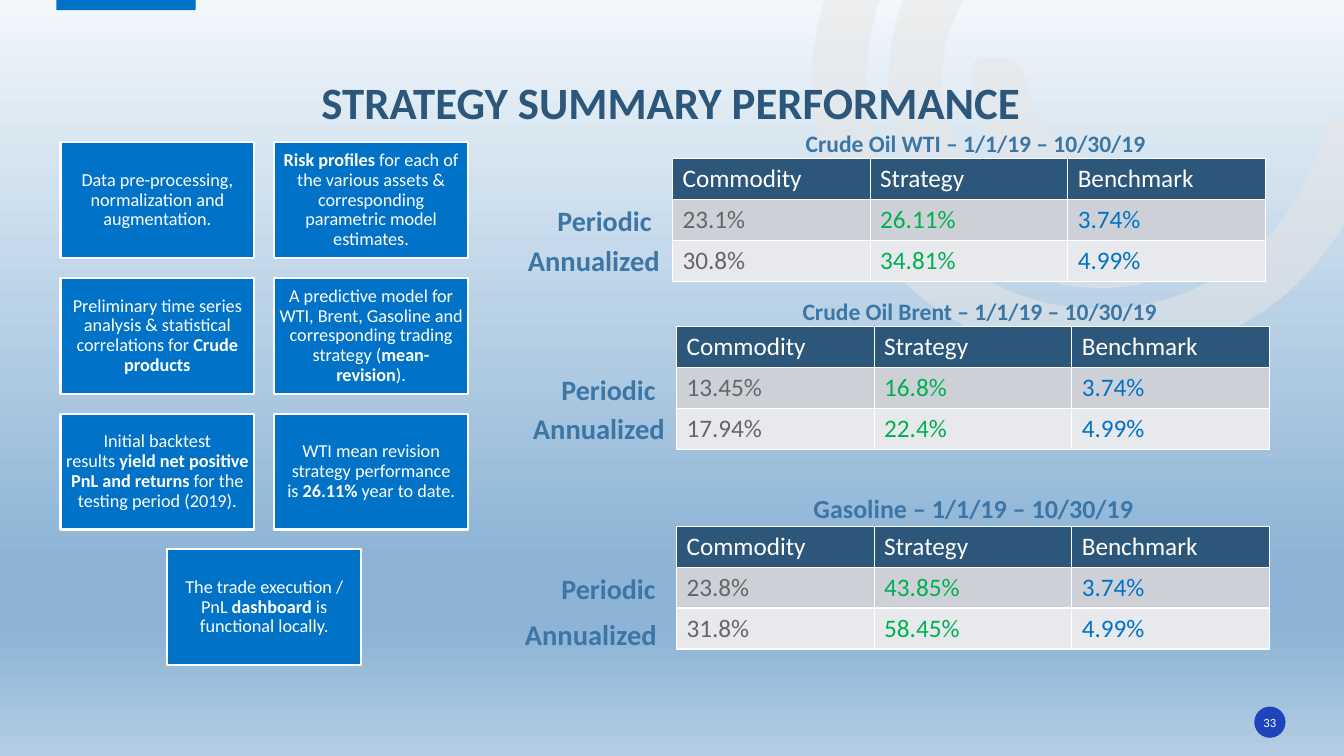
from lxml.etree import SubElement
from pptx import Presentation
from pptx.dml.color import RGBColor
from pptx.enum.shapes import MSO_SHAPE as Shape
from pptx.enum.text import MSO_ANCHOR as Anchor, PP_ALIGN as Align
from pptx.oxml import parse_xml
from pptx.oxml.ns import nsdecls, qn
from pptx.util import Inches, Pt

COLORS = {
    "white": "FFFFFF", "navy": "2C567A", "blue": "0072C7", "steel": "3C76A6",
    "badge": "1E44BC", "gray": "666666", "green": "00B050", "swirl": "E7E6E6",
    "band": "CDD1D7", "pale": "E8E9EC",
}
FONT = "Calibri"
HARD_SPACE = chr(160)
WIDTH, HEIGHT = 13.33, 7.5
TITLE = "STRATEGY SUMMARY PERFORMANCE"
PAGE_NUMBER = "33"
SKY = [(0, "F2F7FA"), (74, "8DB4D6"), (83, "8DB4D6"), (100, "B3CDE4")]

CARDS = [
    ("Data pre-processing, normalization and augmentation.",),
    ("", "Risk profiles", " for each of the various assets & corresponding parametric model estimates."),
    ("Preliminary time series analysis & statistical correlations for ", "Crude products"),
    ("A predictive model for WTI, Brent, Gasoline and corresponding trading strategy (", "mean-revision", ")."),
    ("Initial backtest results ", "yield net positive PnL and returns", " for the testing period (2019)."),
    ("WTI mean revision strategy performance is ", "26.11%", " year to date."),
    ("The trade execution / PnL ", "dashboard", " is functional locally."),
]
CARD_LEFT, CARD_TOP, CARD_W, CARD_H = 0.6, 1.41, 1.92, 1.15
CARD_STEP_X, CARD_STEP_Y = 2.12, 4.04 / 3

HEADER = ("Commodity", "Strategy", "Benchmark")
COLUMN_COLORS = ("gray", "green", "blue")
TABLE_W, TABLE_H = 5.88, 1.22
ASSETS = [
    {"caption": "Crude Oil WTI – 1/1/19 – 10/30/19", "size": 16.8, "at": (6.67, 1.57),
     "caption_shift": (1.08, -0.45), "annual_shift": (-1.54, 0.67),
     "rows": [("23.1%", "26.11%", "3.74%"), ("30.8%", "34.81%", "4.99%")]},
    {"caption": "Crude Oil Brent – 1/1/19 – 10/30/19", "size": 16.8, "at": (6.71, 3.24),
     "caption_shift": (1.08, -0.45), "annual_shift": (-1.53, 0.66),
     "rows": [("13.45%", "16.8%", "3.74%"), ("17.94%", "22.4%", "4.99%")]},
    {"caption": "Gasoline – 1/1/19 – 10/30/19", "size": 18.6, "at": (6.71, 5.22),
     "caption_shift": (1.02, -0.46), "annual_shift": (-1.61, 0.73),
     "rows": [("23.8%", "43.85%", "3.74%"), ("31.8%", "58.45%", "4.99%")]},
]

SWIRLS = [
    [(8.51, 2.29), (7.99, 1.49), (7.87, 0.5), (8.38, -0.5), (8.9, -1.52), (9.76, -2.03), (10.9, -2.07),
     (11.05, -2.07), (11.21, -2.1), (11.31, -1.95), (11.44, -1.75), (11.27, -1.54), (10.98, -1.54),
     (9.67, -1.54), (8.65, -0.59), (8.6, 0.68), (8.56, 1.81), (9.36, 2.81), (10.46, 3.02),
     (11.6, 3.24), (12.7, 2.61), (13.07, 1.52), (13.09, 1.48), (13.11, 1.44), (13.12, 1.4),
     (13.16, 1.19), (13.27, 1.11), (13.49, 1.17), (13.73, 1.24), (13.67, 1.41), (13.61, 1.56),
     (13.34, 2.45), (12.78, 3.07), (11.91, 3.41), (10.7, 3.87), (9.36, 3.45), (8.51, 2.29)],
    [(9.22, 1.99), (8.62, 1.15), (8.69, 0.07), (9.4, -0.68), (9.51, -0.79), (9.62, -0.95), (9.8, -0.78),
     (9.95, -0.64), (9.97, -0.5), (9.79, -0.32), (9.25, 0.26), (9.2, 1.08), (9.65, 1.68),
     (10.08, 2.29), (10.88, 2.49), (11.61, 2.15), (11.82, 2.05), (11.93, 2.12), (12.03, 2.29),
     (12.13, 2.5), (11.97, 2.56), (11.83, 2.63), (10.96, 3.1), (9.83, 2.82), (9.22, 1.99)],
    [(9.87, 1.51), (9.75, 1.3), (9.64, 1.07), (9.64, 0.82), (9.64, 0.73), (9.61, 0.57), (9.76, 0.58),
     (9.92, 0.59), (10.13, 0.53), (10.16, 0.76), (10.21, 1.1), (10.36, 1.32), (10.67, 1.48),
     (10.88, 1.57), (10.76, 1.76), (10.72, 1.89), (10.68, 2.06), (10.55, 1.98), (10.45, 1.94),
     (10.21, 1.87), (10.03, 1.7), (9.87, 1.51)],
]


def rgb(name):
    return RGBColor.from_string(COLORS[name])


def paint(shape, fill, line=None):
    shape.shadow.inherit = False
    shape.fill.solid()
    shape.fill.fore_color.rgb = rgb(fill)
    if line:
        shape.line.color.rgb = rgb(line)
        shape.line.width = Pt(1.5)
    else:
        shape.line.fill.background()


def write(frame, parts, size, color, bold=False, spacing=1.0, align=Align.CENTER,
          anchor=Anchor.MIDDLE, insets=(0, 0)):
    side, edge = (Inches(inset) for inset in insets)
    settings = {"word_wrap": True, "vertical_anchor": anchor, "margin_left": side,
                "margin_right": side, "margin_top": edge, "margin_bottom": edge}
    for name, value in settings.items():
        setattr(frame, name, value)
    para = frame.paragraphs[0]
    para.alignment, para.line_spacing = align, spacing
    for index, text in enumerate(parts):
        if text:
            span = para.add_run()
            span.text = text
            for name, value in {"name": FONT, "size": Pt(size), "bold": bold or index % 2 == 1}.items():
                setattr(span.font, name, value)
            span.font.color.rgb = rgb(color)


def add_label(page, text, left, top, width, height, size, spacing):
    box = page.shapes.add_textbox(*map(Inches, (left, top, width, height)))
    write(box.text_frame, [text], size, "steel", True, spacing, anchor=Anchor.BOTTOM, insets=(0.1, 0.05))


def add_borders(cell):
    for index, side in enumerate(("lnL", "lnR", "lnT", "lnB")):
        border = parse_xml(
            f'<a:{side} {nsdecls("a")} w="{Pt(1)}"><a:solidFill>'
            f'<a:srgbClr val="{COLORS["white"]}"/></a:solidFill></a:{side}>')
        cell._tc.get_or_add_tcPr().insert(index, border)


def add_swirl(page, points):
    corners = [(round(x * 100), round(y * 100)) for x, y in points]
    builder = page.shapes.build_freeform(*corners[0], scale=Inches(0.01))
    builder.add_line_segments(corners[1:], close=True)
    swirl = builder.convert_to_shape()
    paint(swirl, "swirl")
    properties = swirl.element.spPr
    SubElement(properties.find(".//" + qn("a:srgbClr")), qn("a:alpha"), val="53000")
    lines = list(properties.iter(qn("a:lnTo")))
    for start in range(0, len(lines), 3):
        first, *others = lines[start:start + 3]
        curve = parse_xml(f'<a:cubicBezTo {nsdecls("a")}/>')
        first.addprevious(curve)
        for line in (first, *others):
            curve.append(line[0])
            line.getparent().remove(line)


def add_background(page):
    fill = page.background.fill
    fill.gradient()
    fill.gradient_angle = 270
    stops = page.element.find(".//" + qn("a:gsLst"))
    for stop in list(stops):
        stops.remove(stop)
    for position, color in SKY:
        stop = SubElement(stops, qn("a:gs"), pos=str(position * 1000))
        SubElement(stop, qn("a:srgbClr"), val=color)
    for points in SWIRLS:
        add_swirl(page, points)
    tab = page.shapes.add_shape(Shape.RECTANGLE, *map(Inches, (0.56, -0.02, 1.38, 0.12)))
    paint(tab, "blue")
    badge = page.shapes.add_shape(Shape.OVAL, *map(Inches, (12.44, 7.01, 0.31, 0.31)))
    paint(badge, "badge")
    write(badge.text_frame, [PAGE_NUMBER], 9, "white")


def add_title(page):
    title = page.shapes.title
    page.shapes.element.append(title.element)
    title.left, title.top, title.width, title.height = map(Inches, (0.56, 0.27, 12.19, 1.01))
    write(title.text_frame, [TITLE], 32, "navy", True, 0.9, anchor=Anchor.BOTTOM)


def tie_edges(text):
    if text.startswith(" "):
        text = HARD_SPACE + text[1:]
    if text.endswith(" "):
        text = text[:-1] + HARD_SPACE
    return text


def add_cards(page):
    for index, parts in enumerate(CARDS):
        row, column = divmod(index, 2)
        if index == len(CARDS) - 1:
            column = 0.5
        place = (CARD_LEFT + column * CARD_STEP_X, CARD_TOP + row * CARD_STEP_Y, CARD_W, CARD_H)
        card = page.shapes.add_shape(Shape.RECTANGLE, *map(Inches, place))
        paint(card, "blue", "white")
        write(card.text_frame, map(tie_edges, parts), 13, "white", spacing=0.9, insets=(0.05, 0.05))


def add_asset(page, asset):
    left, top = asset["at"]
    caption_x, caption_y = asset["caption_shift"]
    annual_x, annual_y = asset["annual_shift"]
    add_label(page, asset["caption"], left + caption_x, top + caption_y, 3.85, 0.48, asset["size"], 0.7)
    rows = [HEADER] + asset["rows"]
    place = map(Inches, (left, top, TABLE_W, TABLE_H))
    table = page.shapes.add_table(len(rows), len(HEADER), *place).table
    for row, values in enumerate(rows):
        for column, value in enumerate(values):
            cell = table.cell(row, column)
            cell.fill.solid()
            cell.fill.fore_color.rgb = rgb(("navy", "band", "pale")[row])
            add_borders(cell)
            color = COLUMN_COLORS[column] if row else "white"
            write(cell.text_frame, [value], 18, color, align=Align.LEFT)
            cell.vertical_anchor = Anchor.TOP
            cell.margin_left = cell.margin_right = Inches(0.1)
            cell.margin_top = cell.margin_bottom = Inches(0.05)
    add_label(page, "Periodic", left - 1.35, top + 0.33, 1.35, 0.51, 20, 0.9)
    add_label(page, "Annualized", left + annual_x, top + annual_y, 1.52, 0.56, 20.4, 0.8)


def main():
    deck = Presentation()
    deck.slide_width, deck.slide_height = Inches(WIDTH), Inches(HEIGHT)
    page = deck.slides.add_slide(deck.slide_layouts[5])
    add_background(page)
    add_title(page)
    add_cards(page)
    for asset in ASSETS:
        add_asset(page, asset)
    deck.save("out.pptx")


if __name__ == "__main__":
    main()
